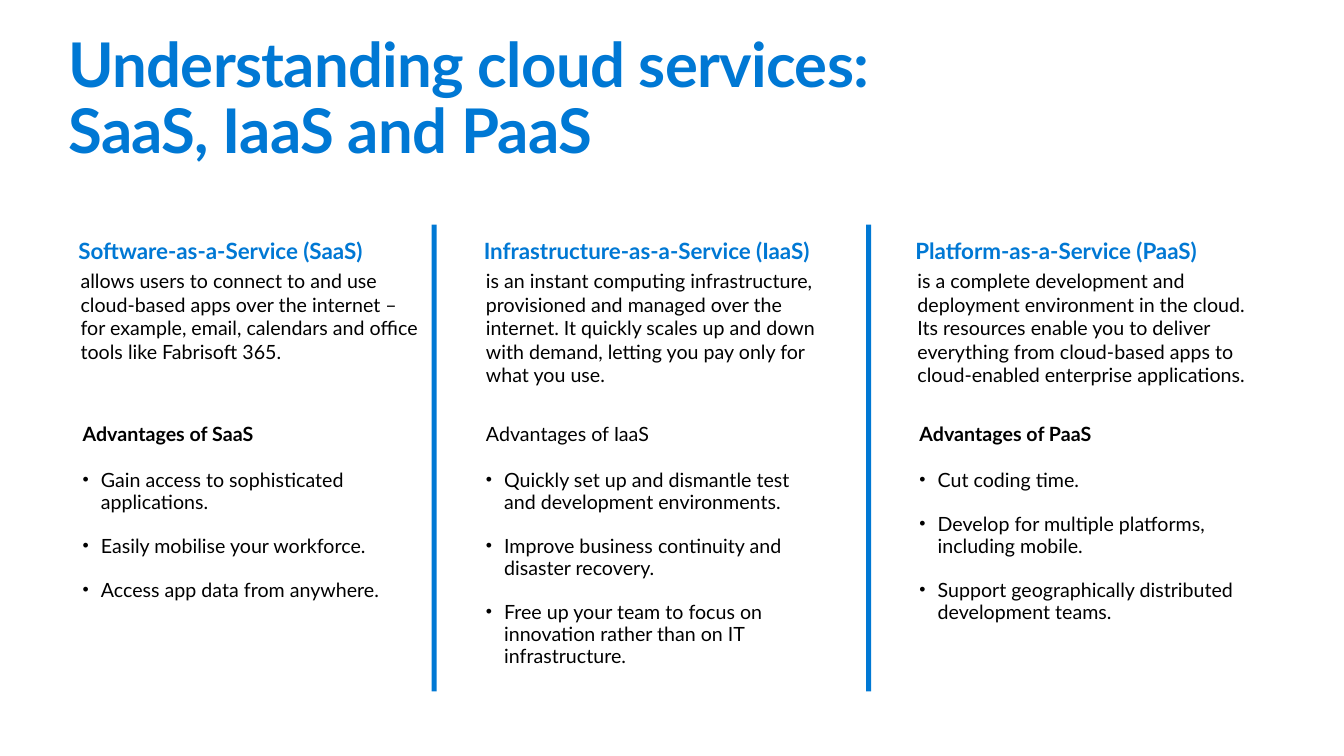
from pptx import Presentation
from pptx.dml.color import RGBColor
from pptx.enum.shapes import MSO_SHAPE
from pptx.enum.text import MSO_AUTO_SIZE
from pptx.oxml.xmlchemy import OxmlElement
from pptx.util import Inches, Pt

COLORS = {"blue": "0078D4", "black": "000000", "white": "FFFFFF"}
FONTS = {
    "title": {"size": Pt(44), "bold": True},
    "head": {"size": Pt(16), "bold": True},
    "body": {"size": Pt(14), "bold": False},
    "strong": {"size": Pt(14), "bold": True},
}
LEAD = {"line_spacing": Pt(17.6), "space_after": Pt(17.6)}
ITEM = {"line_spacing": Pt(15.7), "space_after": Pt(15.7)}
FLUSH = {"margin_left": 0, "margin_top": 0, "margin_right": 0, "margin_bottom": 0}
FRAME = {"word_wrap": True, "auto_size": MSO_AUTO_SIZE.SHAPE_TO_FIT_TEXT}

TITLE = "Understanding cloud services: SaaS, IaaS and PaaS"
SERVICES = [
    {
        "left": 0.8, "shift": 0.02, "wide": 3.49, "list": 3.01, "tall": 1.85,
        "name": "Software-as-a-Service (SaaS)",
        "about": "allows users to connect to and use cloud-based apps over the "
                 "internet – for example, email, calendars and office tools "
                 "like Fabrisoft 365.",
        "lead": "Advantages of SaaS", "style": "strong",
        "items": ["Gain access to sophisticated applications.",
                  "Easily mobilise your workforce.",
                  "Access app data from anywhere."],
    },
    {
        "left": 4.82, "shift": 0, "wide": 3.72, "list": 3.28, "tall": 2.52,
        "name": "Infrastructure-as-a-Service (IaaS)",
        "about": "is an instant computing infrastructure, provisioned and "
                 "managed over the internet. It quickly scales up and down "
                 "with demand, letting you pay only for what you use.",
        "lead": "Advantages of IaaS", "style": "body",
        "items": ["Quickly set up and dismantle test and development environments.",
                  "Improve business continuity and disaster recovery.",
                  "Free up your team to focus on innovation rather than on IT "
                  "infrastructure."],
    },
    {
        "left": 9.1, "shift": 0.02, "wide": 3.49, "list": 3.16, "tall": 2.08,
        "name": "Platform-as-a-Service (PaaS)",
        "about": "is a complete development and deployment environment in the "
                 "cloud. Its resources enable you to deliver everything from "
                 "cloud-based apps to cloud-enabled enterprise applications.",
        "lead": "Advantages of PaaS", "style": "strong",
        "items": ["Cut coding time.",
                  "Develop for multiple platforms, including mobile.",
                  "Support geographically distributed development teams."],
    },
]


def apply(target, values):
    for key, value in values.items():
        setattr(target, key, value)


def add_frame(slide, box, margins=FLUSH):
    frame = slide.shapes.add_textbox(*map(Inches, box)).text_frame
    apply(frame, {**FRAME, **margins})
    return frame


def write(para, text, style, color="black"):
    run = para.add_run()
    run.text = text
    apply(run.font, {"name": "Lato", **FONTS[style]})
    run.font.color.rgb = RGBColor.from_string(COLORS[color])
    return run


def add_bullet(para):
    props = para._p.get_or_add_pPr()
    props.set("marL", str(Inches(0.18)))
    props.set("indent", str(Inches(-0.18)))
    for tag, key, value in (("a:buSzPct", "val", "90000"),
                            ("a:buFont", "typeface", "Arial"),
                            ("a:buChar", "char", "•")):
        mark = OxmlElement(tag)
        mark.set(key, value)
        props.append(mark)


def add_title(slide, box):
    para = add_frame(slide, box).paragraphs[0]
    para.line_spacing = 0.9
    run = write(para, TITLE, "title", "blue")
    run._r.get_or_add_rPr().set("spc", "-50")


def add_list(slide, box, service):
    frame = add_frame(slide, box)
    lead = frame.paragraphs[0]
    apply(lead, LEAD)
    write(lead, service["lead"], service["style"])
    for item in service["items"]:
        para = frame.add_paragraph()
        add_bullet(para)
        apply(para, ITEM)
        write(para, item, "body")
    para.space_after = Pt(0)


def add_column(slide, box, service):
    left, top, width, height = box
    head = add_frame(slide, (left - 0.12, top, service["wide"], 0.37), {})
    write(head.paragraphs[0], service["name"], "head", "blue")
    about = add_frame(slide, (left, top + 0.37, width, 1.18))
    write(about.paragraphs[0], service["about"], "body")
    place = (left + service["shift"], top + 1.87, service["list"], height - 1.87)
    add_list(slide, place, service)


def add_rule(slide, box):
    rule = slide.shapes.add_shape(MSO_SHAPE.RECTANGLE, *map(Inches, box))
    rule.shadow.inherit = False
    rule.fill.solid()
    rule.fill.fore_color.rgb = RGBColor.from_string(COLORS["blue"])
    rule.line.fill.background()


def main():
    deck = Presentation()
    apply(deck, {"slide_width": Inches(13.33), "slide_height": Inches(7.5)})
    slide = deck.slides.add_slide(deck.slide_layouts[6])
    slide.background.fill.solid()
    slide.background.fill.fore_color.rgb = RGBColor.from_string(COLORS["white"])
    add_title(slide, (0.68, 0.34, 8.66, 1.33))
    for service in SERVICES:
        box = (service["left"], 2.3, 3.37, 1.87 + service["tall"])
        add_column(slide, box, service)
    for left in (4.28, 8.59):
        add_rule(slide, (left, 2.23, 0.05, 4.63))
    deck.save("out.pptx")


if __name__ == "__main__":
    main()
